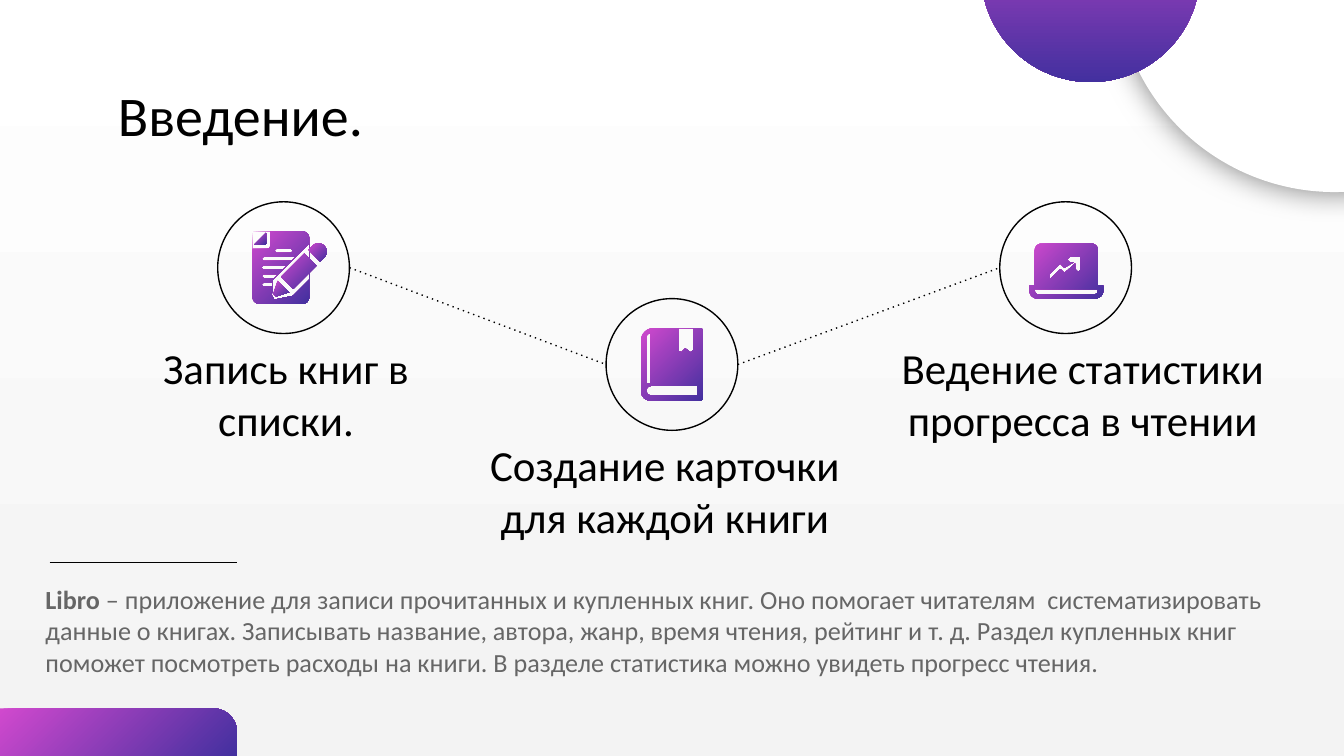
import math

from lxml import etree
from pptx import Presentation
from pptx import util as u
from pptx.dml.color import RGBColor
from pptx.enum import dml, shapes, text
from pptx.oxml import ns

COLORS = {
    "black": "000000",
    "white": "FFFFFF",
    "mist": "F3F3F3",
    "gray": "666666",
    "pink": "D149CE",
    "indigo": "43309F",
}
FONT = "Calibri"
DIAMETER = 2.49
RADIUS = DIAMETER / 2
HIGH, LOW = 5.06, 6.89
ICON_UNIT = 0.0254
FINE = 100


def paint(fill, angle, start="pink", end="indigo"):
    fill.gradient()
    fill.gradient_angle = 360 - angle
    for stop, name in zip(fill.gradient_stops, (start, end)):
        stop.color.rgb = RGBColor.from_string(COLORS[name])


def rounded(left, top, right, bottom, radii):
    corners = [(left, top, 1, 1), (right, top, -1, 1), (right, bottom, -1, -1), (left, bottom, 1, -1)]
    points = []
    for turn, ((x, y, inward_x, inward_y), radius) in enumerate(zip(corners, radii)):
        for step in range(7 if radius else 1):
            angle = math.radians(180 + 90 * turn + 15 * step)
            if radius:
                points.append((x + radius * (inward_x + math.cos(angle)),
                               y + radius * (inward_y + math.sin(angle))))
            else:
                points.append((x, y))
    return points


deck = Presentation()
deck.slide_width = u.Cm(25.4)
deck.slide_height = u.Cm(14.29)
page = deck.slides.add_slide(deck.slide_layouts[6])
paint(page.background.fill, 90, "white", "mist")

corner = page.shapes.add_shape(
    shapes.MSO_SHAPE.ROUND_1_RECTANGLE, 0, u.Cm(13.39), u.Cm(4.48), u.Cm(0.9)
)
corner.adjustments[0] = 0.5
corner.shadow.inherit = False
corner.line.fill.background()
paint(corner.fill, 45)

centres = {"sheet": (5.36, HIGH), "book": (12.7, LOW), "laptop": (20.14, HIGH)}
for x, y in centres.values():
    ring = page.shapes.add_shape(
        shapes.MSO_SHAPE.OVAL, u.Cm(x - RADIUS), u.Cm(y - RADIUS), u.Cm(DIAMETER), u.Cm(DIAMETER)
    )
    ring.shadow.inherit = False
    ring.fill.background()
    ring.line.color.rgb = RGBColor.from_string(COLORS["black"])
    ring.line.width = u.Pt(0.75)

stops = list(centres.values())
lines = [(a[0] + RADIUS, a[1], b[0] - RADIUS, b[1], True) for a, b in zip(stops, stops[1:])]
lines.append((0.94, 10.63, 4.47, 10.63, False))
for *ends, dotted in lines:
    line = page.shapes.add_connector(shapes.MSO_CONNECTOR.STRAIGHT, *map(u.Cm, ends))
    line.line.color.rgb = RGBColor.from_string(COLORS["black"])
    line.line.width = u.Pt(0.75)
    if dotted:
        line.line.dash_style = dml.MSO_LINE.ROUND_DOT
        line._element.spPr.find(".//" + ns.qn("a:prstDash")).set("val", "dot")
    etree.SubElement(line._element.spPr, ns.qn("a:effectLst"))

discs = {}
for name, left, top, size in [("plain", 21.08, -4.65, 8.28), ("vivid", 18.54, -2.59, 4.14)]:
    disc = page.shapes.add_shape(
        shapes.MSO_SHAPE.OVAL, u.Cm(left), u.Cm(top), u.Cm(size), u.Cm(size)
    )
    disc.line.fill.background()
    disc.shadow.inherit = False
    discs[name] = disc
paint(discs["vivid"].fill, 90)
discs["plain"].fill.solid()
discs["plain"].fill.fore_color.rgb = RGBColor.from_string(COLORS["white"])
effects = discs["plain"]._element.spPr.find(ns.qn("a:effectLst"))
shadow = etree.SubElement(
    effects, ns.qn("a:outerShdw"), blurRad=str(u.Pt(16.9)), dist="0", algn="bl", rotWithShape="0"
)
shade = etree.SubElement(shadow, ns.qn("a:srgbClr"), val=COLORS["black"])
etree.SubElement(shade, ns.qn("a:alpha"), val="50000")

lid = rounded(-23, -18, 24, 13, (5, 5, 0, 0))
base = rounded(-27, 13, 28, 23, (1, 1, 6, 6))
base_slot = rounded(-23, 16, 24, 20, (0, 0, 3, 3))
trend = [(-12, 7), (-4, -1), (-1, 2), (7, -5)]
arrow_head = [(3, -4), (1, -6), (3, -8), (11, -8), (11, 2), (9, 3), (7, 1)]
trend_arrow = (
    [(x, y - 2) for x, y in trend[:-1]] + [(6, -4)] + arrow_head
    + [(x, y + 2) for x, y in reversed(trend)]
)

cover = rounded(-23, -27, 23, 27, (9, 2, 2, 7))
spine = rounded(-19, -23, -16, 14, (3, 0, 0, 0))
pages = rounded(-19, 16, 19, 23, (3.5, 0, 0, 3.5))
ribbon = [(5, -27), (5, -10), (7, -9), (10, -12), (14, -9), (16, -11), (16, -27)]

paper = rounded(-23, -27, 19, 27, (0, 5, 5, 5))
paper_notch = rounded(-23, -27, -10, -14, (0, 0, 2, 0))
fold = [(-13, -26), (-22, -17), (-13, -17)]
pencil_gap = [(19, -18), (-8, 9), (-8, 17), (-9, 20), (-7, 24), (-3, 23), (7, 21), (19, 9)]
heading = rounded(-6.5, -14, 6.5, -11, (1.5,) * 4)
text_rows = []
for row in range(4):
    top = -8 + 6.4 * row
    bottom = top + 3
    text_rows.append([
        (-15, top), (max(1 - top, -8), top), (max(1 - bottom, -8), bottom),
        (-15, bottom), (-16.5, top + 1.5),
    ])

pencil_parts = [
    [(0, -1.5), (9, -6), (9, 6), (0, 1.5)],
    rounded(13, -6.4, 37.5, 6.4, (0,) * 4),
    rounded(41.5, -6.2, 52, 6.2, (0, 6, 6, 0)),
]
tip_x, tip_y = -6.5, 20.5
diagonal = math.sqrt(0.5)
pencil = [
    [(tip_x + (along + across) * diagonal, tip_y + (across - along) * diagonal)
     for along, across in part]
    for part in pencil_parts
]

icons = [
    ("laptop", [lid, base, base_slot, trend_arrow]),
    ("sheet", [paper, paper_notch, pencil_gap, heading, *text_rows]),
    ("sheet", [fold]),
    *[("sheet", [part]) for part in pencil],
    ("book", [cover, spine, pages, ribbon]),
]
for name, contours in icons:
    builder = None
    for contour in contours:
        points = [(x * FINE, y * FINE) for x, y in contour]
        if builder is None:
            builder = page.shapes.build_freeform(*points[0], scale=u.Cm(ICON_UNIT) / FINE)
        else:
            builder.move_to(*points[0])
        builder.add_line_segments(points[1:], close=True)
    icon = builder.convert_to_shape(*map(u.Cm, centres[name]))
    icon.shadow.inherit = False
    icon.line.fill.background()
    paint(icon.fill, 45)

about = (
    " – приложение для записи прочитанных и купленных книг. Оно помогает читателям  "
    "систематизировать данные о книгах. Записывать название, автора, жанр, время чтения, "
    "рейтинг и т. д. Раздел купленных книг поможет посмотреть расходы на книги. "
    "В разделе статистика можно увидеть прогресс чтения."
)
LEFT, CENTER = text.PP_ALIGN.LEFT, text.PP_ALIGN.CENTER
TOP, MIDDLE = text.MSO_ANCHOR.TOP, text.MSO_ANCHOR.MIDDLE
LABEL_DROP = 1.88
texts = [
    (1.98, 1.5, 21.44, 1.32, 30, "black", LEFT, MIDDLE, "", "Введение."),
    (1.7, HIGH + LABEL_DROP, 7.42, 0.99, 23, "black", CENTER, MIDDLE, "", "Запись книг в списки."),
    (8.48, LOW + LABEL_DROP, 8.18, 0.99, 23, "black", CENTER, MIDDLE, "",
     "Создание карточки для каждой книги"),
    (16.51, HIGH + LABEL_DROP, 7.92, 0.99, 23, "black", CENTER, MIDDLE, "",
     "Ведение статистики прогресса в чтении"),
    (0.61, 10.78, 24.03, 4.52, 14, "gray", LEFT, TOP, "Libro", about),
]
for *place, size, color, align, anchor, bold_words, words in texts:
    box = page.shapes.add_textbox(*map(u.Cm, place))
    frame = box.text_frame
    frame.word_wrap = True
    frame.vertical_anchor = anchor
    frame.margin_left = frame.margin_right = u.Cm(0.25)
    frame.margin_top = frame.margin_bottom = u.Cm(0.25)
    para = frame.paragraphs[0]
    para.alignment = align
    para.font.name = FONT
    para.font.size = u.Pt(size)
    para.font.color.rgb = RGBColor.from_string(COLORS[color])
    if bold_words:
        span = para.add_run()
        span.text = bold_words
        span.font.bold = True
    para.add_run().text = words

deck.save("out.pptx")
